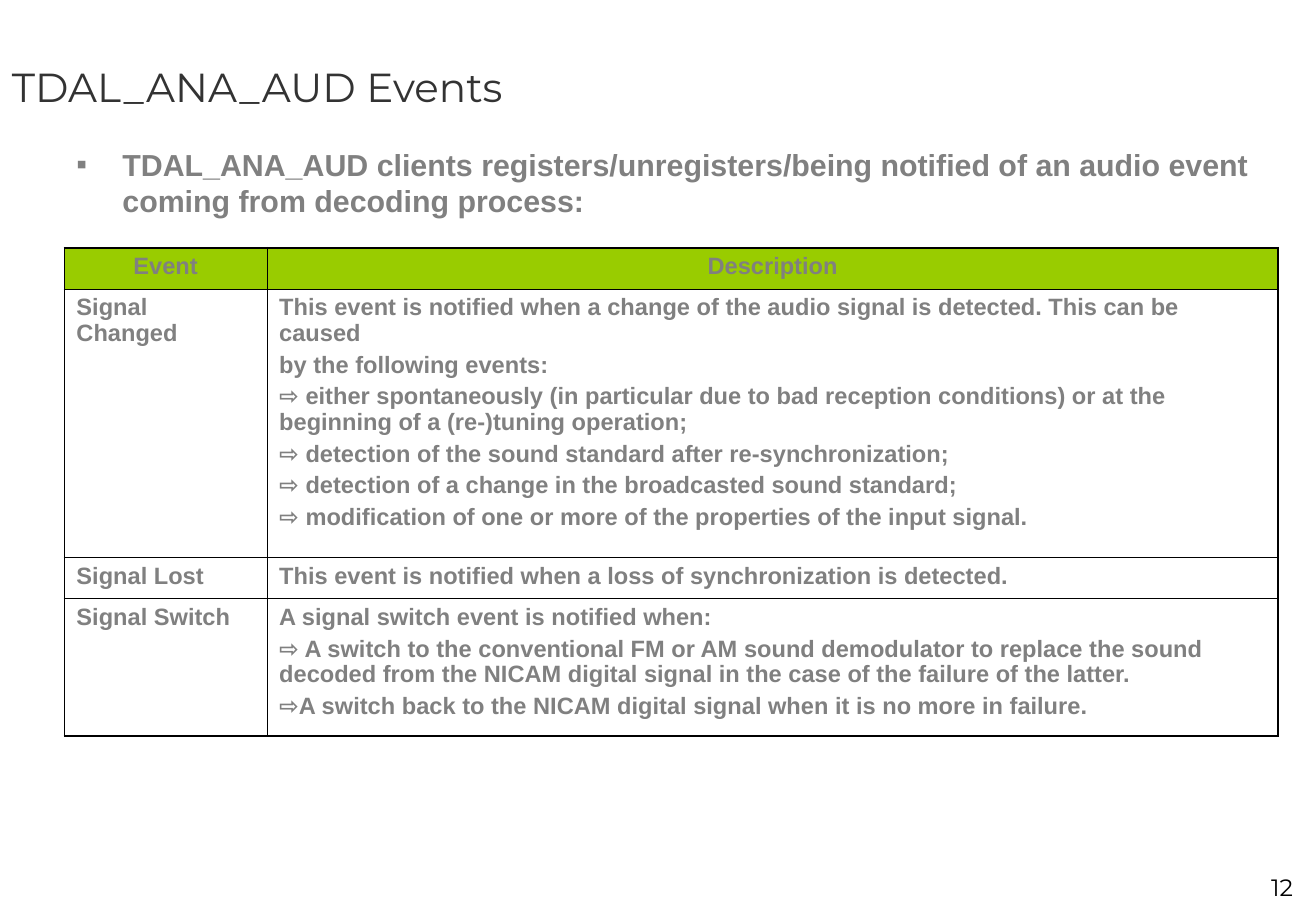
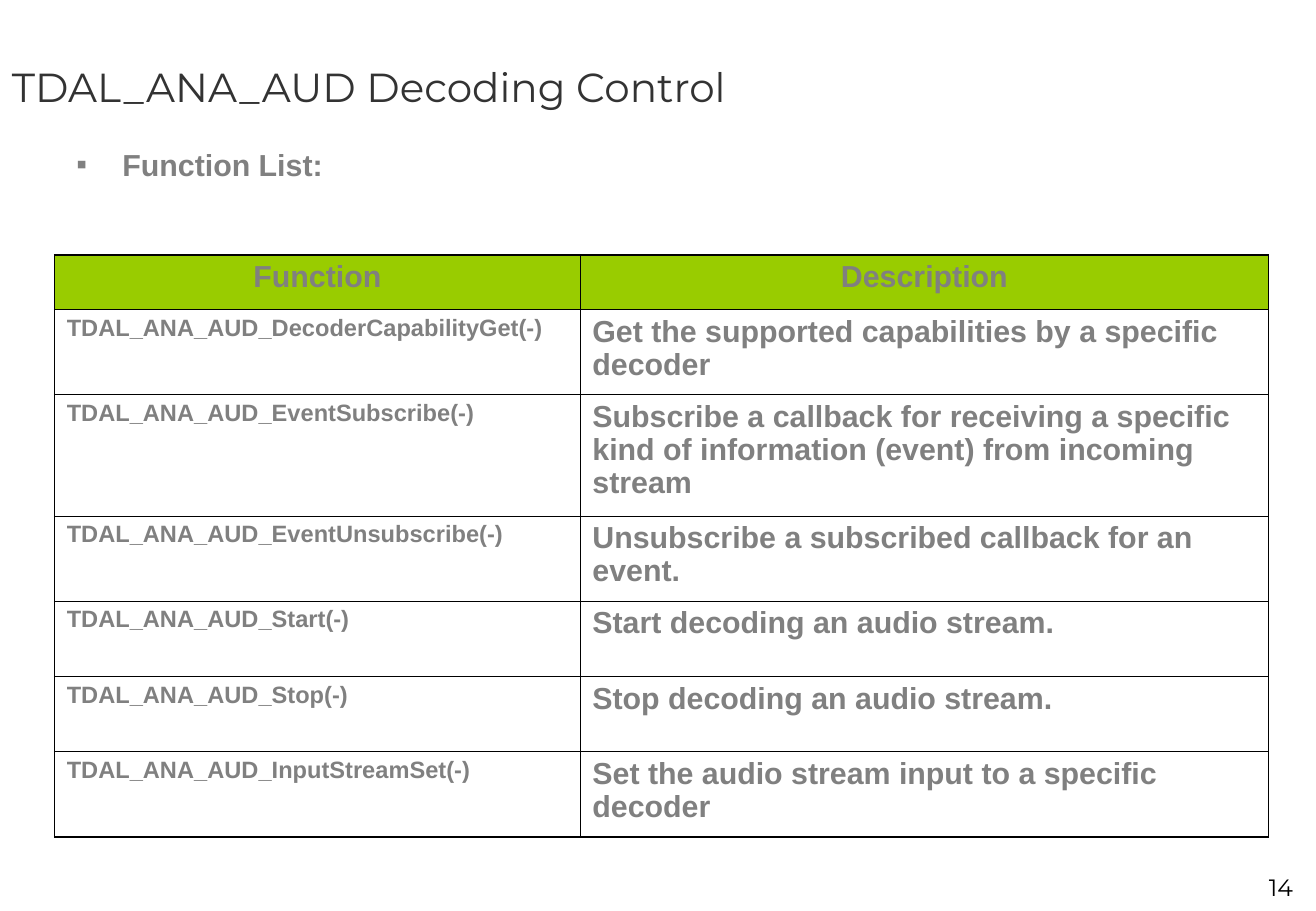
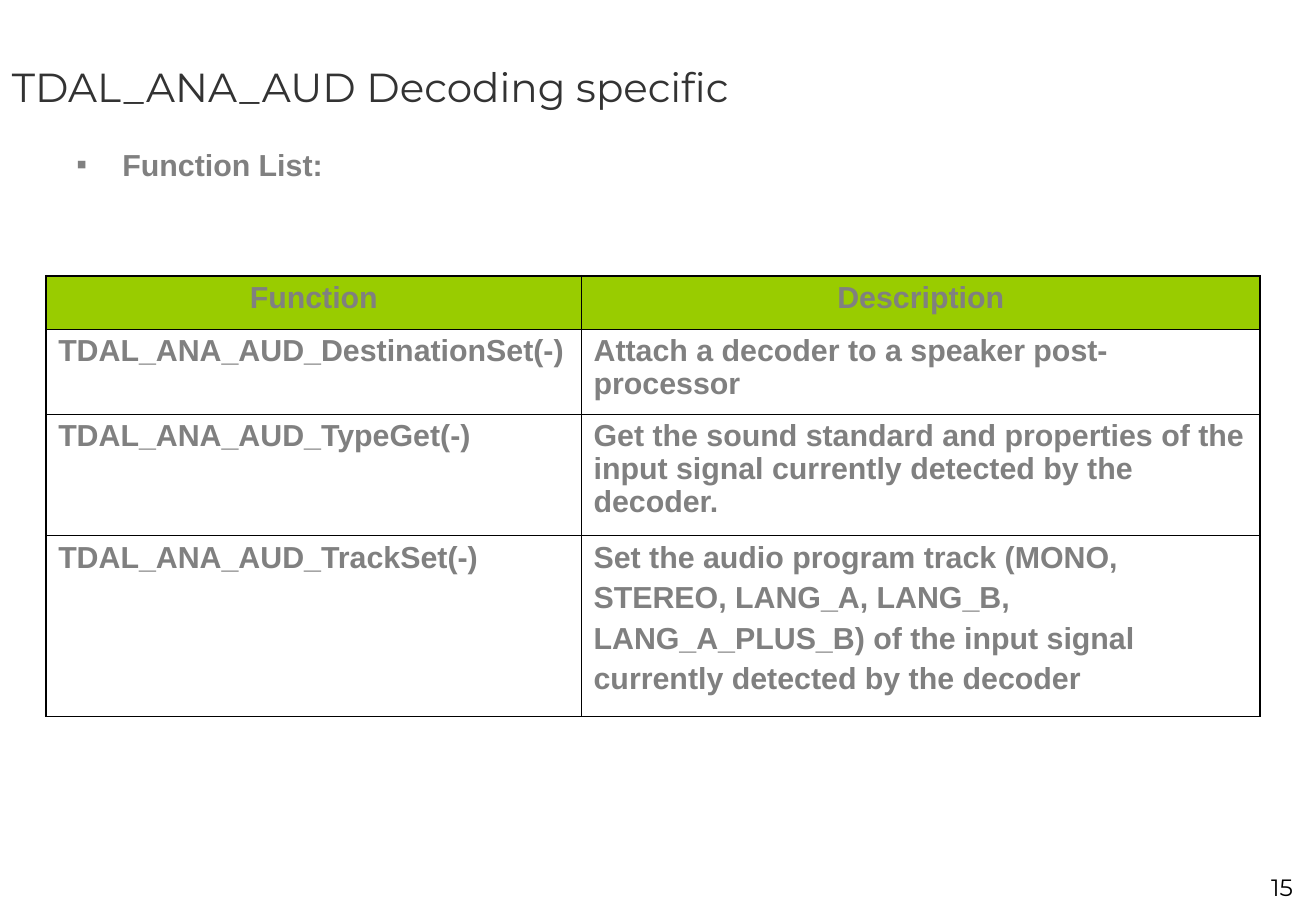
from lxml import etree
from pptx import Presentation
from pptx import util as u
from pptx.dml.color import RGBColor
from pptx.enum import text
from pptx.oxml.ns import qn

PX = 9144  # 100 px to the inch
COLOURS = {"title": "333333", "body": "808080", "number": "000000",
           "border": "000000", "header": "99CC00", "page": "FFFFFF"}
TITLE_FONT, BODY_FONT = "Montserrat", "Arial"
THIN, THICK = 0.45, 1.08
SMALL, LARGE = 14, 18
LINE_SPACING = 0.97

PAGES = [
    {
        "title": "TDAL_ANA_AUD Events",
        "lead": "TDAL_ANA_AUD clients registers/unregisters/being notified of an audio event "
                "coming from decoding process:",
        "number": "12",
        "corner": (53, 204), "columns": (167, 833), "heights": (34, 221, 34, 113),
        "header_size": SMALL, "column_sizes": (SMALL, SMALL),
        "rows": [
            ("Event", "Description"),
            ("Signal Changed", [
                "This event is notified when a change of the audio signal is detected. This can be caused",
                "by the following events:",
                "⇨ either spontaneously (in particular due to bad reception conditions) or at the "
                "beginning of a (re-)tuning operation;",
                "⇨ detection of the sound standard after re-synchronization;",
                "⇨ detection of a change in the broadcasted sound standard;",
                "⇨ modification of one or more of the properties of the input signal."]),
            ("Signal Lost", "This event is notified when a loss of synchronization is detected."),
            ("Signal Switch", [
                "A signal switch event is notified when:",
                "⇨ A switch to the conventional FM or AM sound demodulator to replace the sound "
                "decoded from the NICAM digital signal in the case of the failure of the latter.",
                "⇨A switch back to the NICAM digital signal when it is no more in failure."]),
        ],
    },
    {
        "title": "TDAL_ANA_AUD Decoding Control",
        "lead": "Function List:",
        "number": "14",
        "corner": (45, 210), "columns": (433, 567), "heights": (45, 70, 100, 70, 62, 62, 70),
        "header_size": LARGE, "column_sizes": (SMALL, LARGE),
        "rows": [
            ("Function", "Description"),
            ("TDAL_ANA_AUD_DecoderCapabilityGet(-)",
             "Get the supported capabilities by a specific decoder"),
            ("TDAL_ANA_AUD_EventSubscribe(-)",
             "Subscribe a callback for receiving a specific kind of information (event) "
             "from incoming stream"),
            ("TDAL_ANA_AUD_EventUnsubscribe(-)", "Unsubscribe a subscribed callback for an event."),
            ("TDAL_ANA_AUD_Start(-)", "Start decoding an audio stream."),
            ("TDAL_ANA_AUD_Stop(-)", "Stop decoding an audio stream."),
            ("TDAL_ANA_AUD_InputStreamSet(-)", "Set the audio stream input to a specific decoder"),
        ],
    },
    {
        "title": "TDAL_ANA_AUD Decoding specific",
        "lead": "Function List:",
        "number": "15",
        "corner": (38, 227), "columns": (441, 559), "heights": (44, 70, 100, 149),
        "header_size": LARGE, "column_sizes": (LARGE, LARGE),
        "rows": [
            ("Function", "Description"),
            ("TDAL_ANA_AUD_DestinationSet(-)", "Attach a decoder to a speaker post-processor"),
            ("TDAL_ANA_AUD_TypeGet(-)",
             "Get the sound standard and properties of the input signal currently detected "
             "by the decoder."),
            ("TDAL_ANA_AUD_TrackSet(-)", [
                "Set the audio program track (MONO,",
                "STEREO, LANG_A, LANG_B,",
                "LANG_A_PLUS_B) of the input signal",
                "currently detected by the decoder"]),
        ],
    },
]


def write(frame, content, size, colour="body", font=BODY_FONT, bold=True, align="LEFT",
          space_before=0, line_spacing=None):
    """Fill a text frame with one string or a list of paragraphs."""
    frame.word_wrap = True
    lines = [content] if isinstance(content, str) else content
    for index, line in enumerate(lines):
        para = frame.paragraphs[0] if index == 0 else frame.add_paragraph()
        para.alignment = getattr(text.PP_ALIGN, align)
        para.space_before = u.Pt(space_before)
        if line_spacing:
            para.line_spacing = line_spacing
        span = para.add_run()
        span.text = line
        span.font.size = u.Pt(size)
        span.font.name = font
        span.font.bold = bold
        span.font.color.rgb = RGBColor.from_string(COLOURS[colour])


def add_text(page, place, content, size, anchor="TOP", **style):
    box = page.shapes.add_textbox(*(value * PX for value in place))
    box.text_frame.vertical_anchor = getattr(text.MSO_ANCHOR, anchor)
    write(box.text_frame, content, size, **style)
    return box


def add_bullet(para, indent):
    props = para._p.get_or_add_pPr()
    props.set("marL", str(indent * PX))
    props.set("indent", str(-indent * PX))
    colour = etree.SubElement(props, qn("a:buClr"))
    etree.SubElement(colour, qn("a:srgbClr"), val=COLOURS["body"])
    etree.SubElement(props, qn("a:buFont"), typeface=BODY_FONT)
    etree.SubElement(props, qn("a:buChar"), char="▪")


def set_borders(cell, widths):
    """Draw the left, right, top and bottom borders, widths in points."""
    props = cell._tc.get_or_add_tcPr()
    for index, (side, width) in enumerate(zip("LRTB", widths)):
        line = etree.Element(qn(f"a:ln{side}"), w=str(int(u.Pt(width))))
        fill = etree.SubElement(line, qn("a:solidFill"))
        etree.SubElement(fill, qn("a:srgbClr"), val=COLOURS["border"])
        props.insert(index, line)


def add_grid(page, content):
    rows, columns, heights = (content[key] for key in ("rows", "columns", "heights"))
    place = (*content["corner"], sum(columns), sum(heights))
    table = page.shapes.add_table(len(rows), len(columns),
                                  *(value * PX for value in place)).table
    for column, width in zip(table.columns, columns):
        column.width = width * PX
    last_row, last_column = len(rows) - 1, len(columns) - 1
    for r, (row, height) in enumerate(zip(rows, heights)):
        table.rows[r].height = height * PX
        for c, words in enumerate(row):
            cell = table.cell(r, c)
            header = r == 0
            size = content["header_size"] if header else content["column_sizes"][c]
            cell.fill.solid()
            cell.fill.fore_color.rgb = RGBColor.from_string(COLOURS["header" if header else "page"])
            write(cell.text_frame, words, size, align="CENTER" if header else "LEFT",
                  space_before=size / 4, line_spacing=LINE_SPACING)
            outer = (c == 0, c == last_column, header, r == last_row)
            set_borders(cell, [THICK if edge else THIN for edge in outer])


def add_page(deck, content):
    page = deck.slides.add_slide(deck.slide_layouts[6])
    add_text(page, (0, 0, 1083, 142), content["title"], 24, anchor="MIDDLE",
             colour="title", font=TITLE_FONT, bold=False)
    lead = add_text(page, (53, 115, 991, 495), content["lead"], LARGE, space_before=4.5)
    add_bullet(lead.text_frame.paragraphs[0], 38)
    add_grid(page, content)
    add_text(page, (959, 714, 116, 33), content["number"], 14,
             colour="number", font=TITLE_FONT, bold=False, align="RIGHT")


def main():
    deck = Presentation()
    deck.slide_width, deck.slide_height = 1084 * PX, 750 * PX
    for content in PAGES:
        add_page(deck, content)
    deck.save("out.pptx")


if __name__ == "__main__":
    main()
